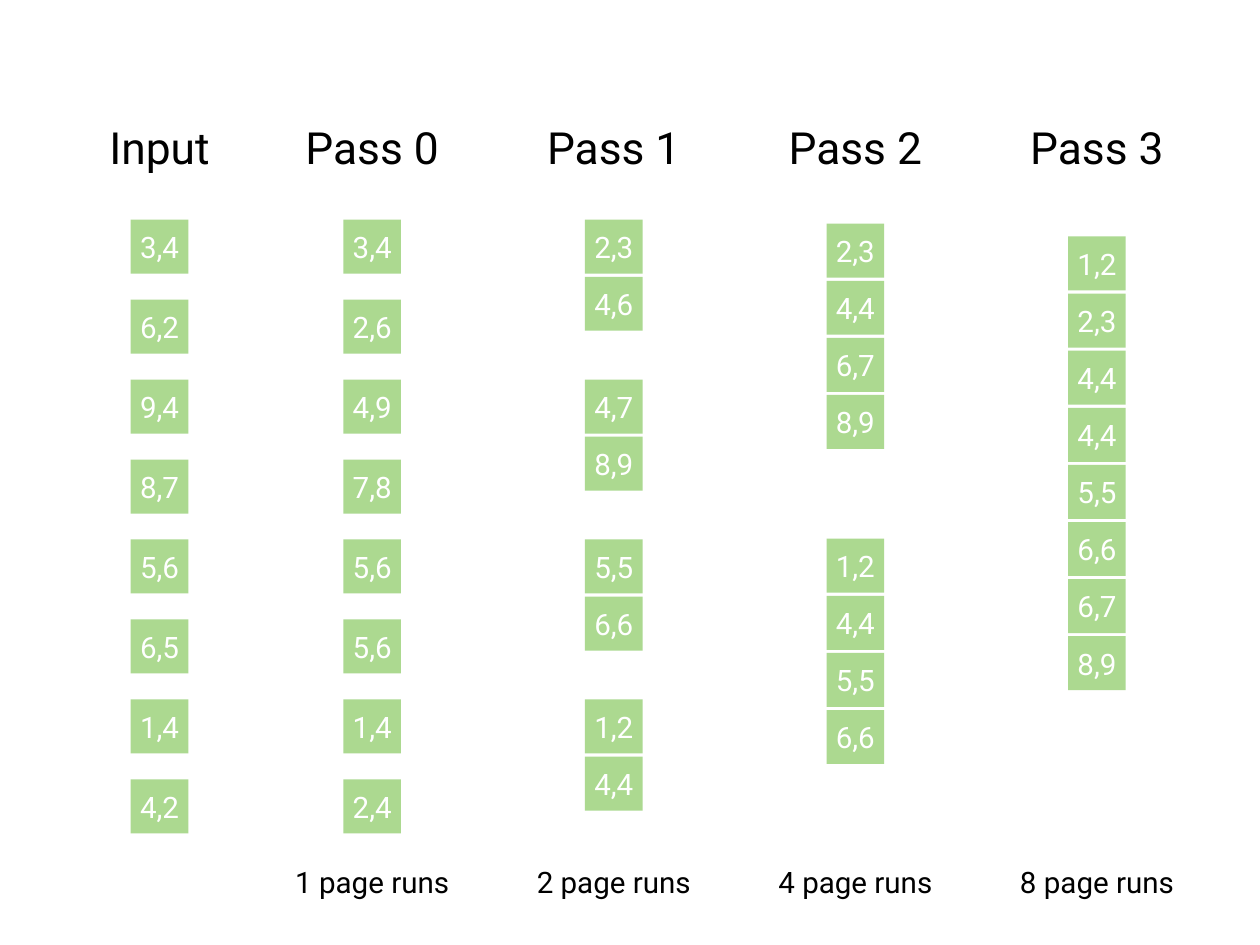
"""Build a slide that shows the passes of an external merge sort."""
from dataclasses import dataclass

from lxml.etree import SubElement
from pptx import Presentation
from pptx.dml.color import RGBColor
from pptx.enum.shapes import MSO_SHAPE
from pptx.enum.text import MSO_ANCHOR, MSO_AUTO_SIZE, PP_ALIGN
from pptx.oxml.ns import qn
from pptx.shapes.autoshape import Shape
from pptx.slide import Slide
from pptx.util import Inches, Pt


@dataclass(frozen=True)
class Theme:
    font: str = "Roboto"
    page_fill: RGBColor = RGBColor(0x70, 0xBF, 0x41)
    page_opacity: int = 58
    page_text: RGBColor = RGBColor(0xFF, 0xFF, 0xFF)
    label_text: RGBColor = RGBColor(0, 0, 0)
    heading_size: int = 36
    body_size: int = 24


@dataclass(frozen=True)
class Grid:
    first_center: float = 4.2
    column_step: float = (12.38 - 4.2) / 3
    first_top: float = 2.48
    row_step: float = (8.8 - 2.48) / 7
    page_step: float = 5 / 7
    page_width: float = 0.65
    page_height: float = 0.61

    def center(self, column: float) -> float:
        return self.first_center + column * self.column_step

    def top(self, row: float) -> float:
        return self.first_top + row * self.row_step


@dataclass(frozen=True)
class Run:
    row: float
    pages: str


@dataclass(frozen=True)
class Stage:
    column: float
    heading: str
    heading_width: float
    runs: list[Run]
    caption: str = ""


def single_page_runs(pages: str) -> list[Run]:
    return [Run(row, page) for row, page in enumerate(pages.split())]


THEME = Theme()
GRID = Grid()
SLIDE_WIDTH, SLIDE_HEIGHT = 14.22, 10.67
HEADING_TOP, HEADING_HEIGHT = 1.3, 0.71
CAPTION_TOP, CAPTION_WIDTH, CAPTION_HEIGHT = 9.7, 1.92, 0.51
LABEL_MARGIN = 0.06
STAGES = [
    Stage(-0.88, "Input", 1.26, single_page_runs("3,4 6,2 9,4 8,7 5,6 6,5 1,4 4,2")),
    Stage(0, "Pass 0", 1.63, single_page_runs("3,4 2,6 4,9 7,8 5,6 5,6 1,4 2,4"), "1 page runs"),
    Stage(1, "Pass 1", 1.63, [Run(0, "2,3 4,6"), Run(2, "4,7 8,9"),
                              Run(4, "5,5 6,6"), Run(6, "1,2 4,4")], "2 page runs"),
    Stage(2, "Pass 2", 1.63, [Run(0.05, "2,3 4,4 6,7 8,9"),
                              Run(3.99, "1,2 4,4 5,5 6,6")], "4 page runs"),
    Stage(3, "Pass 3", 1.63, [Run(0.21, "1,2 2,3 4,4 4,4 5,5 6,6 6,7 8,9")], "8 page runs"),
]


def write_text(shape: Shape, text: str, size: int, color: RGBColor, margin: float) -> None:
    frame = shape.text_frame
    frame.text = text
    frame.vertical_anchor = MSO_ANCHOR.MIDDLE
    frame.margin_left = frame.margin_right = Inches(margin)
    frame.margin_top = frame.margin_bottom = Inches(margin)
    paragraph = frame.paragraphs[0]
    paragraph.alignment = PP_ALIGN.CENTER
    font = paragraph.runs[0].font
    font.name = THEME.font
    font.size = Pt(size)
    font.color.rgb = color


def draw_label(slide: Slide, text: str, center: float, top: float,
               width: float, height: float, size: int) -> None:
    label = slide.shapes.add_textbox(
        Inches(center - width / 2), Inches(top), Inches(width), Inches(height))
    write_text(label, text, size, THEME.label_text, LABEL_MARGIN)
    label.text_frame.word_wrap = False
    label.text_frame.auto_size = MSO_AUTO_SIZE.SHAPE_TO_FIT_TEXT


def draw_page(slide: Slide, text: str, center: float, top: float) -> None:
    page = slide.shapes.add_shape(
        MSO_SHAPE.RECTANGLE, Inches(center - GRID.page_width / 2), Inches(top),
        Inches(GRID.page_width), Inches(GRID.page_height))
    page.shadow.inherit = False
    page.line.fill.background()
    page.fill.solid()
    page.fill.fore_color.rgb = THEME.page_fill
    color = page.fill._xPr.find(qn("a:solidFill")).find(qn("a:srgbClr"))
    SubElement(color, qn("a:alpha")).set("val", str(THEME.page_opacity * 1000))
    write_text(page, text, THEME.body_size, THEME.page_text, 0)


def draw_stage(slide: Slide, stage: Stage) -> None:
    center = GRID.center(stage.column)
    draw_label(slide, stage.heading, center, HEADING_TOP,
               stage.heading_width, HEADING_HEIGHT, THEME.heading_size)
    for run in stage.runs:
        for index, page in enumerate(run.pages.split()):
            draw_page(slide, page, center, GRID.top(run.row + index * GRID.page_step))
    if stage.caption:
        draw_label(slide, stage.caption, center, CAPTION_TOP,
                   CAPTION_WIDTH, CAPTION_HEIGHT, THEME.body_size)


def main() -> None:
    presentation = Presentation()
    presentation.slide_width = Inches(SLIDE_WIDTH)
    presentation.slide_height = Inches(SLIDE_HEIGHT)
    slide = presentation.slides.add_slide(presentation.slide_layouts[6])
    for stage in STAGES:
        draw_stage(slide, stage)
    presentation.save("out.pptx")


if __name__ == "__main__":
    main()
